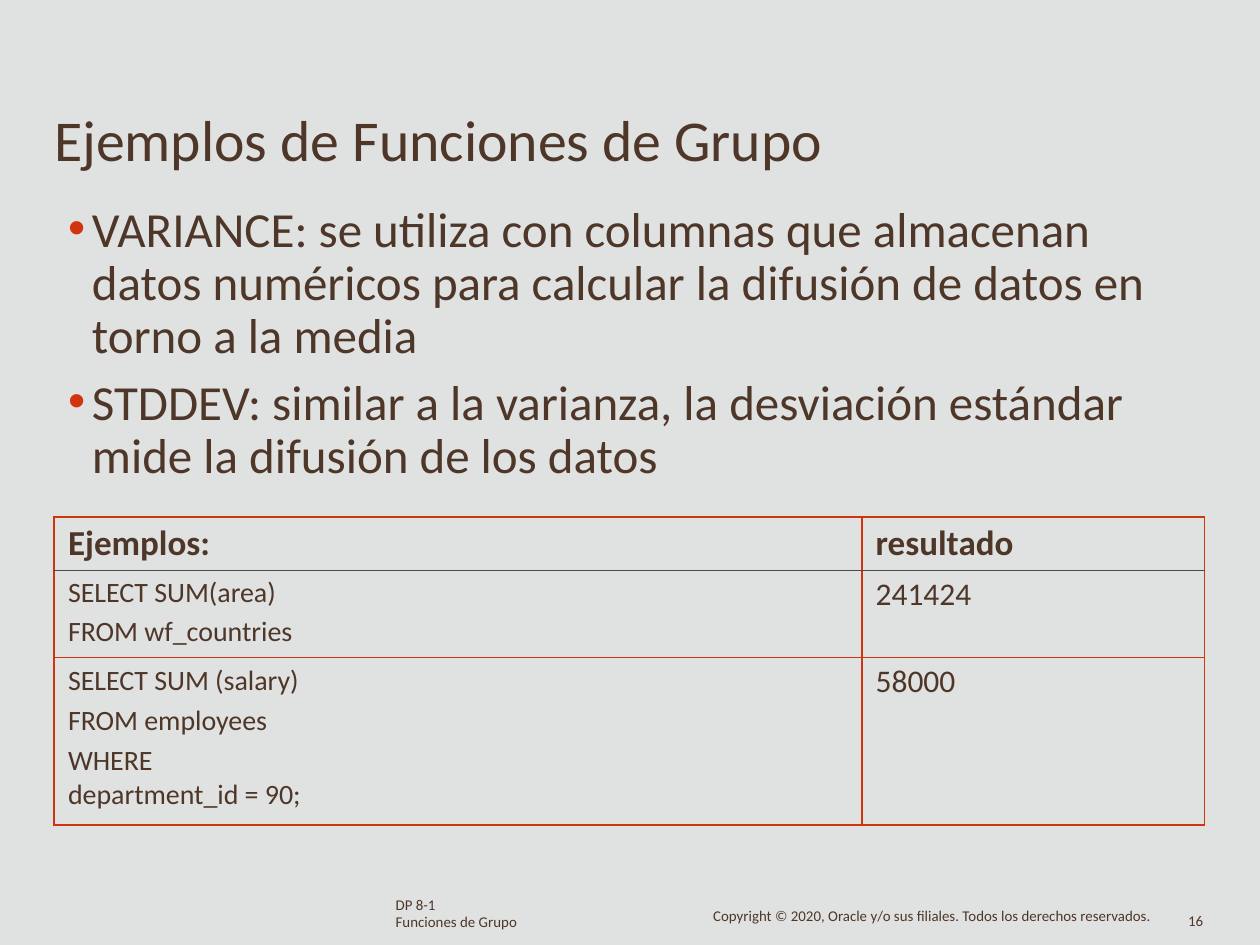
from pptx import Presentation
from pptx.dml.color import RGBColor
from pptx.enum.text import MSO_ANCHOR as Anchor, MSO_AUTO_SIZE as AutoSize, PP_ALIGN as Align
from pptx.oxml.ns import qn
from pptx.util import Inches, Pt
from lxml.etree import SubElement

COLORS = {"ground": "E0E2E1", "text": "4E3629", "accent": "D1350F", "rule": "4A4A4A"}

deck = Presentation()
deck.slide_width, deck.slide_height = Inches(10), Inches(7.5)
column, row = deck.slide_width / 100, deck.slide_height / 100
page = deck.slides.add_slide(deck.slide_layouts[1])
page.background.fill.solid()
page.background.fill.fore_color.rgb = RGBColor.from_string(COLORS["ground"])


def format_text(frame, size, inset=0, bold=False):
    frame.word_wrap = True
    frame.auto_size = AutoSize.NONE
    frame.vertical_anchor = Anchor.TOP
    frame.margin_left = frame.margin_right = frame.margin_bottom = 0
    frame.margin_top = Inches(inset)
    for para in frame.paragraphs:
        para.alignment = Align.LEFT
        for span in para.runs:
            span.font.name = "Calibri"
            span.font.size = Pt(size)
            span.font.bold = bold
            span.font.color.rgb = RGBColor.from_string(COLORS["text"])


def place(shape, left, top, width, height):
    shape.left, shape.top = int(left * column), int(top * row)
    shape.width, shape.height = int(width * column), int(height * row)


title, body = page.placeholders
place(title, 4.3, 10.9, 69.2, 7.7)
title.text_frame.text = "Ejemplos de Funciones de Grupo"
format_text(title.text_frame, 33, 0.01)

place(body, 5.3, 20.7, 86, 30.5)
body.text_frame.text = (
    "VARIANCE: se utiliza con columnas que almacenan datos numéricos "
    "para calcular la difusión de datos en torno a la media\n"
    "STDDEV: similar a la varianza, la desviación estándar "
    "mide la difusión de los datos"
)
for index, para in enumerate(body.text_frame.paragraphs):
    props = para._p.get_or_add_pPr()
    props.set("marL", str(Inches(0.2)))
    props.set("indent", str(Inches(-0.19)))
    bullet_color = SubElement(props, qn("a:buClr"))
    SubElement(bullet_color, qn("a:srgbClr"), val=COLORS["accent"])
    SubElement(props, qn("a:buChar"), char="•")
    para.line_spacing = Pt(30.3)
    para.space_before = Pt(7.8 if index else 0)
format_text(body.text_frame, 28, 0.07)

cells = [
    ["Ejemplos:", "resultado"],
    ["SELECT SUM(area)\nFROM wf_countries", "241424"],
    ["SELECT SUM (salary)\vFROM employees\nWHERE\vdepartment_id = 90;", "58000"],
]
widths, heights = [64.1, 27.2], [5.7, 9.2, 17.7]
frame = page.shapes.add_table(
    len(heights), len(widths), int(4.3 * column), int(54.7 * row),
    int(sum(widths) * column), int(sum(heights) * row),
)
table = frame.table
table.first_row = table.horz_banding = False
for table_column, width in zip(table.columns, widths):
    table_column.width = int(width * column)
for table_row, height in zip(table.rows, heights):
    table_row.height = int(height * row)

for r, texts in enumerate(cells):
    for c, text in enumerate(texts):
        cell = table.cell(r, c)
        cell.text_frame.text = text
        code = r > 0 and c == 0
        size = 20 if r == 0 else 16 if code else 18
        for index, para in enumerate(cell.text_frame.paragraphs):
            para.space_before = Pt(3 if index else 0)
        if code and r == 2:
            cell.text_frame.paragraphs[0].line_spacing = Pt(23)
        format_text(cell.text_frame, size, bold=r == 0)
        cell.margin_left = Inches(0.11)
        cell.margin_right = cell.margin_bottom = 0
        cell.margin_top = Inches(0 if code and r == 2 else 0.04)
        cell.vertical_anchor = Anchor.TOP
        props = cell._tc.get_or_add_tcPr()
        for side in "LRTB":
            under_header = (r, side) in [(0, "B"), (1, "T")]
            line = SubElement(props, qn(f"a:ln{side}"), w=str(Pt(0.5 if under_header else 1)))
            fill = SubElement(line, qn("a:solidFill"))
            SubElement(fill, qn("a:srgbClr"), val=COLORS["rule" if under_header else "accent"])
        cell.fill.background()

footers = [
    ("DP 8-1\nFunciones de Grupo", (31.4, 95.1, 9.9, 3.6), [8.6, 9.7], 0),
    ("Copyright © 2020, Oracle y/o sus filiales. Todos los derechos reservados.",
     (56.6, 96.1, 35.2, 2), [9.1], 0),
    ("16", (94.3, 96.1, 1.9, 2.7), [10.2], 0.03),
]
for text, area, spacings, inset in footers:
    box = page.shapes.add_textbox(0, 0, 0, 0)
    place(box, *area)
    box.text_frame.text = text
    for para, spacing in zip(box.text_frame.paragraphs, spacings):
        para.line_spacing = Pt(spacing)
    format_text(box.text_frame, 8.5, inset)

deck.save("out.pptx")
